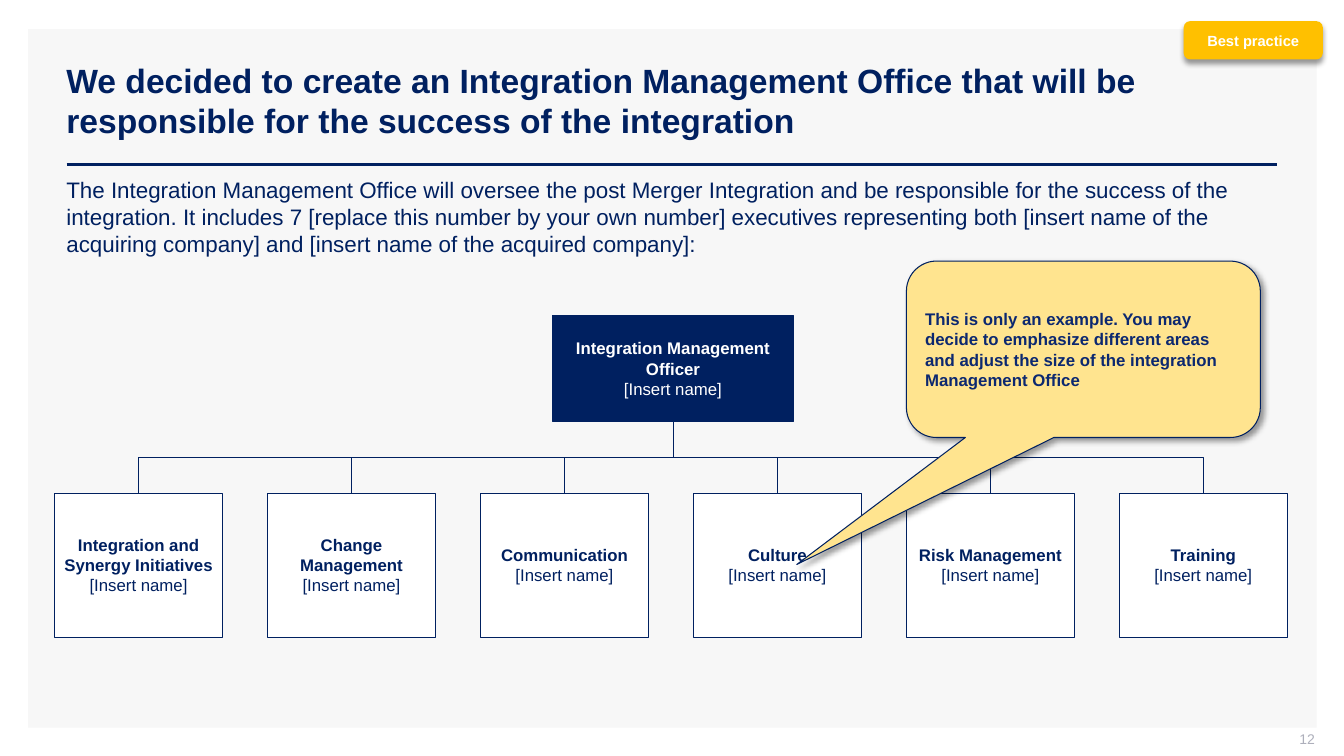
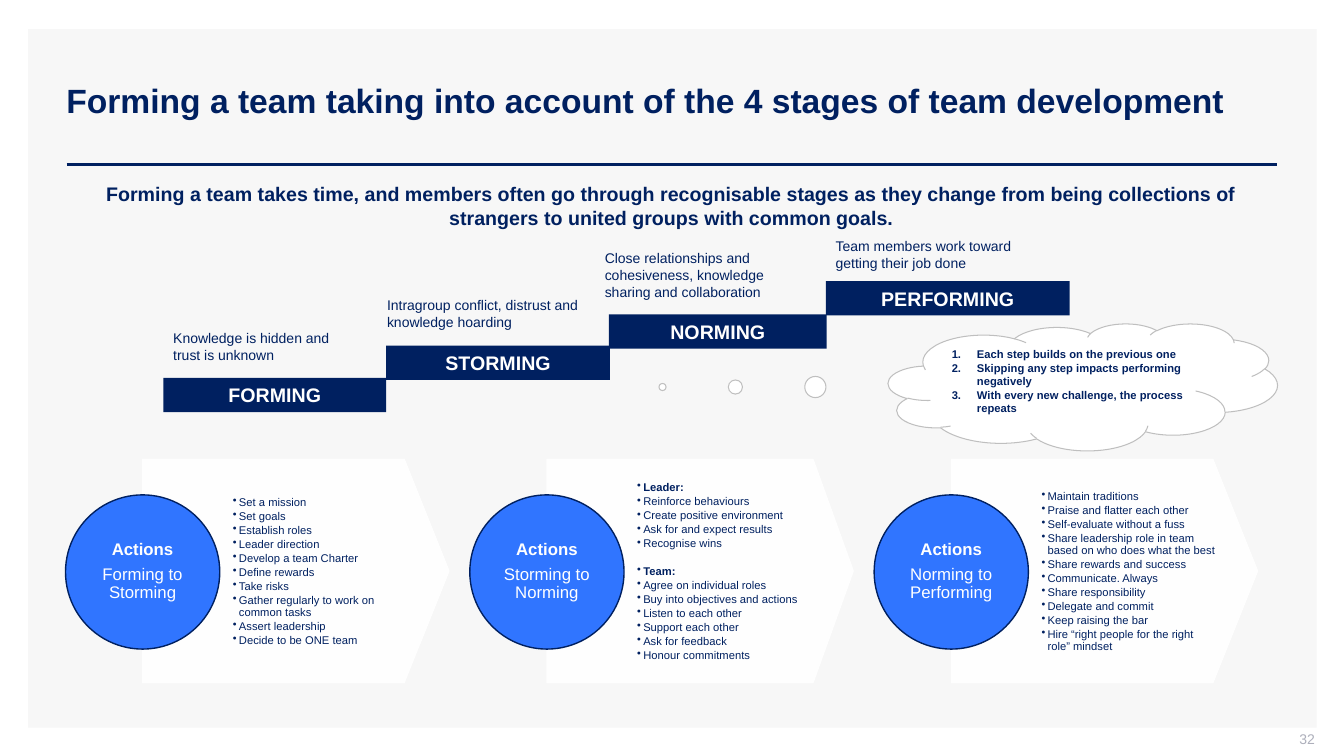
from dataclasses import dataclass
from typing import Any, Optional, Sequence

import lxml.etree
import pptx
import pptx.dml.color
import pptx.enum.shapes
import pptx.enum.text
import pptx.oxml.ns
import pptx.util

Inches = pptx.util.Inches
Pt = pptx.util.Pt
qn = pptx.oxml.ns.qn
SHAPE = pptx.enum.shapes.MSO_SHAPE
CONNECTOR = pptx.enum.shapes.MSO_CONNECTOR
ALIGN = pptx.enum.text.PP_ALIGN
ANCHOR = pptx.enum.text.MSO_ANCHOR

COLORS = {
    "navy": "002060", "ink": "0C2870", "white": "FFFFFF", "panel": "F7F7F7",
    "blue": "3075FF", "cream": "FFE48F", "amber": "FFC000",
    "grey": "BFBFBF", "number": "ADAFBB", "black": "000000",
}
INSETS = (0.1, 0.05, 0.1, 0.05)
BULLET = ("a:buChar", {"char": "•"})
NUMBERED = ("a:buAutoNum", {"type": "arabicPeriod"})


@dataclass(frozen=True)
class Box:
    left: float
    top: float
    width: float
    height: float

    def lengths(self) -> list[int]:
        return [Inches(v) for v in (self.left, self.top, self.width, self.height)]


@dataclass(frozen=True)
class Para:
    text: str
    bold: bool = False
    before: float = 0


@dataclass(frozen=True)
class Style:
    size: float
    color: str = "navy"
    align: Any = ALIGN.LEFT
    anchor: Any = ANCHOR.TOP
    insets: tuple[float, float, float, float] = INSETS
    spacing: Optional[float] = None
    after: float = 0
    indent: float = 0
    marker: Optional[tuple[str, dict[str, str]]] = None


@dataclass(frozen=True)
class Step:
    name: str
    bar: Box
    note: str
    note_box: Box


@dataclass(frozen=True)
class Action:
    change: str
    point: float
    items: tuple[Para, ...]


TITLE = Style(24, anchor=ANCHOR.MIDDLE)
NUMBER = Style(10, "number", ALIGN.RIGHT, ANCHOR.MIDDLE, (0.1, 0, 0, 0.05))
INTRO = Style(16)
LEAD = Style(14, align=ALIGN.CENTER)
OFFICER = Style(12, "white", ALIGN.CENTER, ANCHOR.MIDDLE, (0.02,) * 4)
AREA = Style(12, "navy", ALIGN.CENTER, ANCHOR.MIDDLE, (0.06, 0.02, 0.06, 0.02))
CALLOUT = Style(12, "ink", anchor=ANCHOR.MIDDLE)
TAG = Style(10.5, "white", ALIGN.CENTER, ANCHOR.MIDDLE)
BAR = Style(14, "white", ALIGN.CENTER, ANCHOR.MIDDLE)
NOTE = Style(10)
CLOUD = Style(8, indent=0.25, marker=NUMBERED)
CIRCLE = Style(12, "white", ALIGN.CENTER, ANCHOR.MIDDLE, (0.01,) * 4, 0.9, 4.8)
ITEMS = Style(8, anchor=ANCHOR.MIDDLE, insets=(0.02, 0.01, 0.01, 0.01),
              spacing=0.9, after=1.4, indent=0.06, marker=BULLET)

AREAS = ("Integration and Synergy Initiatives", "Change Management", "Communication",
         "Culture", "Risk Management", "Training")

STEPS = (
    Step("FORMING", Box(1.62, 3.75, 2.21, 0.34),
         "Knowledge is hidden and trust is unknown", Box(1.62, 3.22, 2.04, 0.44)),
    Step("STORMING", Box(3.83, 3.43, 2.22, 0.34),
         "Intragroup conflict, distrust and knowledge hoarding", Box(3.74, 2.89, 2.19, 0.44)),
    Step("NORMING", Box(6.04, 3.12, 2.16, 0.34),
         "Close relationships and cohesiveness, knowledge sharing and collaboration",
         Box(5.9, 2.43, 2.19, 0.61)),
    Step("PERFORMING", Box(8.19, 2.79, 2.42, 0.34),
         "Team members work toward getting their job done", Box(8.19, 2.31, 2.12, 0.44)),
)

ACTIONS = (
    Action("Forming to Storming", 0.2, (
        Para("Set a mission"),
        Para("Set goals"),
        Para("Establish roles"),
        Para("Leader direction"),
        Para("Develop a team Charter"),
        Para("Define rewards"),
        Para("Take risks"),
        Para("Gather regularly to work on common tasks"),
        Para("Assert leadership"),
        Para("Decide to be ONE team"),
    )),
    Action("Storming to Norming", 0.18, (
        Para("Leader:", True),
        Para("Reinforce behaviours"),
        Para("Create positive environment"),
        Para("Ask for and expect results"),
        Para("Recognise wins"),
        Para("Team:", True, 9.8),
        Para("Agree on individual roles"),
        Para("Buy into objectives and actions"),
        Para("Listen to each other"),
        Para("Support each other"),
        Para("Ask for feedback"),
        Para("Honour commitments"),
    )),
    Action("Norming to Performing", 0.2, (
        Para("Maintain traditions"),
        Para("Praise and flatter each other"),
        Para("Self-evaluate without a fuss"),
        Para("Share leadership role in team based on who does what the best"),
        Para("Share rewards and success"),
        Para("Communicate. Always"),
        Para("Share responsibility"),
        Para("Delegate and commit"),
        Para("Keep raising the bar"),
        Para("Hire “right people for the right role” mindset"),
    )),
)


def rgb(name: str) -> pptx.dml.color.RGBColor:
    return pptx.dml.color.RGBColor.from_string(COLORS[name])


def apply(target: Any, formats: dict[str, Any]) -> None:
    for name, value in formats.items():
        setattr(target, name, value)


def write(sp: Any, paras: Sequence[Para], style: Style) -> None:
    tf = sp.text_frame
    left, top, right, bottom = (Inches(v) for v in style.insets)
    apply(tf, {"word_wrap": True, "vertical_anchor": style.anchor,
               "margin_left": left, "margin_top": top,
               "margin_right": right, "margin_bottom": bottom})
    for i, para in enumerate(paras):
        p = tf.paragraphs[0] if i == 0 else tf.add_paragraph()
        if style.marker:
            tag, attributes = style.marker
            pPr = p._p.get_or_add_pPr()
            pPr.set("marL", str(Inches(style.indent)))
            pPr.set("indent", str(-Inches(style.indent)))
            lxml.etree.SubElement(pPr, qn(tag), attributes)
        apply(p, {"alignment": style.align, "line_spacing": style.spacing,
                  "space_before": Pt(para.before), "space_after": Pt(style.after)})
        r = p.add_run()
        r.text = para.text
        apply(r.font, {"name": "Arial", "size": Pt(style.size), "bold": para.bold})
        r.font.color.rgb = rgb(style.color)


def add_text(s: Any, box: Box, paras: Sequence[Para], style: Style) -> None:
    write(s.shapes.add_textbox(*box.lengths()), paras, style)


def add_shape(s: Any, kind: Any, box: Box, fill: str, line: Optional[str] = None,
              weight: float = 0.5, adjust: Sequence[float] = ()) -> Any:
    sp = s.shapes.add_shape(kind, *box.lengths())
    for i, value in enumerate(adjust):
        sp.adjustments[i] = value
    sp.fill.solid()
    sp.fill.fore_color.rgb = rgb(fill)
    if line:
        sp.line.color.rgb = rgb(line)
        sp.line.width = Pt(weight)
    else:
        sp.line.fill.background()
    sp.shadow.inherit = False
    return sp


def set_alpha(color: Any, percent: int) -> None:
    lxml.etree.SubElement(color, qn("a:alpha"), val=str(percent * 1000))


def cast_shadow(sp: Any, degrees: int) -> None:
    effects = sp.element.spPr.find(qn("a:effectLst"))
    shadow = lxml.etree.SubElement(effects, qn("a:outerShdw"), blurRad=str(Pt(4)),
                                   dist=str(Pt(3)), dir=str(degrees * 60000),
                                   algn="ctr", rotWithShape="0")
    set_alpha(lxml.etree.SubElement(shadow, qn("a:srgbClr"), val=COLORS["black"]), 40)


def add_line(s: Any, kind: Any, ends: Sequence[int], weight: float) -> Any:
    c = s.shapes.add_connector(kind, *ends)
    c.line.color.rgb = rgb("navy")
    c.line.width = Pt(weight)
    lxml.etree.SubElement(c.element.spPr, qn("a:effectLst"))
    return c


def join(s: Any, parent: Any, child: Any) -> None:
    x1, y1 = parent.left + parent.width // 2, parent.top + parent.height
    x2, y2 = child.left + child.width // 2, child.top
    c = add_line(s, CONNECTOR.ELBOW, (x1, y1, x2, y2), 0.5)
    c.begin_connect(parent, 2)
    c.end_connect(child, 0)
    drop, reach = y2 - y1, abs(x2 - x1)
    to_right = x2 > x1
    apply(c, {"left": (x1 + x2 - drop) // 2, "top": (y1 + y2 - reach) // 2,
              "width": drop, "height": reach})
    apply(c.element.spPr.get_or_add_xfrm(),
          {"rot": 270 if to_right else 90, "flipH": to_right})


def add_slide(prs: Any, title: str, number: str) -> Any:
    s = prs.slides.add_slide(prs.slide_layouts[6])
    add_shape(s, SHAPE.RECTANGLE, Box(0.28, 0.29, 12.78, 6.93), "panel")
    add_line(s, CONNECTOR.STRAIGHT, [Inches(v) for v in (0.66, 1.63, 12.67, 1.63)], 2)
    add_text(s, Box(0.56, 0.4, 12.11, 1.19), [Para(title, True)], TITLE)
    add_text(s, Box(10.04, 7.25, 3, 0.21), [Para(number)], NUMBER)
    return s


def build_office(prs: Any) -> None:
    s = add_slide(prs, "We decided to create an Integration Management Office that will be "
                       "responsible for the success of the integration", "12")
    add_text(s, Box(0.56, 1.7, 12.11, 0.91), [Para(
        "The Integration Management Office will oversee the post Merger Integration and be "
        "responsible for the success of the integration. It includes 7 [replace this number by "
        "your own number] executives representing both [insert name of the acquiring company] "
        "and [insert name of the acquired company]:")], INTRO)
    name = Para("[Insert name]")
    officer = add_shape(s, SHAPE.RECTANGLE, Box(5.48, 3.13, 2.39, 1.05), "navy", "navy")
    write(officer, [Para("Integration Management Officer", True), name], OFFICER)
    pitch = (11.1 - 0.54) / (len(AREAS) - 1)
    for i, area in enumerate(AREAS):
        sp = add_shape(s, SHAPE.RECTANGLE, Box(0.54 + i * pitch, 4.89, 1.67, 1.43),
                       "white", "navy")
        write(sp, [Para(area, True), name], AREA)
        join(s, officer, sp)
    callout = add_shape(s, SHAPE.ROUNDED_RECTANGULAR_CALLOUT, Box(8.99, 2.59, 3.51, 1.75),
                        "cream", "navy", 0.75, (-0.81, 1.22, 0.17))
    write(callout, [Para("This is only an example. You may decide to emphasize different areas "
                         "and adjust the size of the integration Management Office", True)],
          CALLOUT)
    cast_shadow(callout, 45)
    tag = add_shape(s, SHAPE.ROUNDED_RECTANGLE, Box(11.74, 0.21, 1.38, 0.38), "amber")
    write(tag, [Para("Best practice", True)], TAG)
    cast_shadow(tag, 90)


def build_stages(prs: Any) -> None:
    s = add_slide(prs, "Forming a team taking into account of the 4 stages of team development",
                  "32")
    add_text(s, Box(0.65, 1.76, 12.02, 0.57), [Para(
        "Forming a team takes time, and members often go through recognisable stages as they "
        "change from being collections of strangers to united groups with common goals.",
        True)], LEAD)
    for step in STEPS:
        write(add_shape(s, SHAPE.RECTANGLE, step.bar, "navy"), [Para(step.name, True)], BAR)
        add_text(s, step.note_box, [Para(step.note)], NOTE)
    cloud = add_shape(s, SHAPE.CLOUD_CALLOUT, Box(8.81, 3.21, 3.86, 1.26),
                      "white", "grey", 0.75, (-1.08, 0))
    write(cloud, [Para("Each step builds on the previous one", True),
                  Para("Skipping any step impacts performing negatively", True),
                  Para("With every new challenge, the process repeats", True)], CLOUD)
    for i, action in enumerate(ACTIONS):
        left = 1.41 + i * 4.01
        plate = add_shape(s, SHAPE.PENTAGON, Box(left, 4.55, 3.05, 2.23), "white",
                          adjust=[action.point])
        set_alpha(plate.element.spPr.find(qn("a:solidFill"))[0], 90)
        add_text(s, Box(left + 0.88, 4.76, 1.78, 1.83), action.items, ITEMS)
        circle = add_shape(s, SHAPE.OVAL, Box(left - 0.76, 4.91, 1.53, 1.53), "blue", "navy", 1)
        write(circle, [Para("Actions", True), Para(action.change)], CIRCLE)


def main() -> None:
    prs = pptx.Presentation()
    apply(prs, {"slide_width": Inches(13.33), "slide_height": Inches(7.5)})
    build_office(prs)
    build_stages(prs)
    prs.save("out.pptx")


if __name__ == "__main__":
    main()
